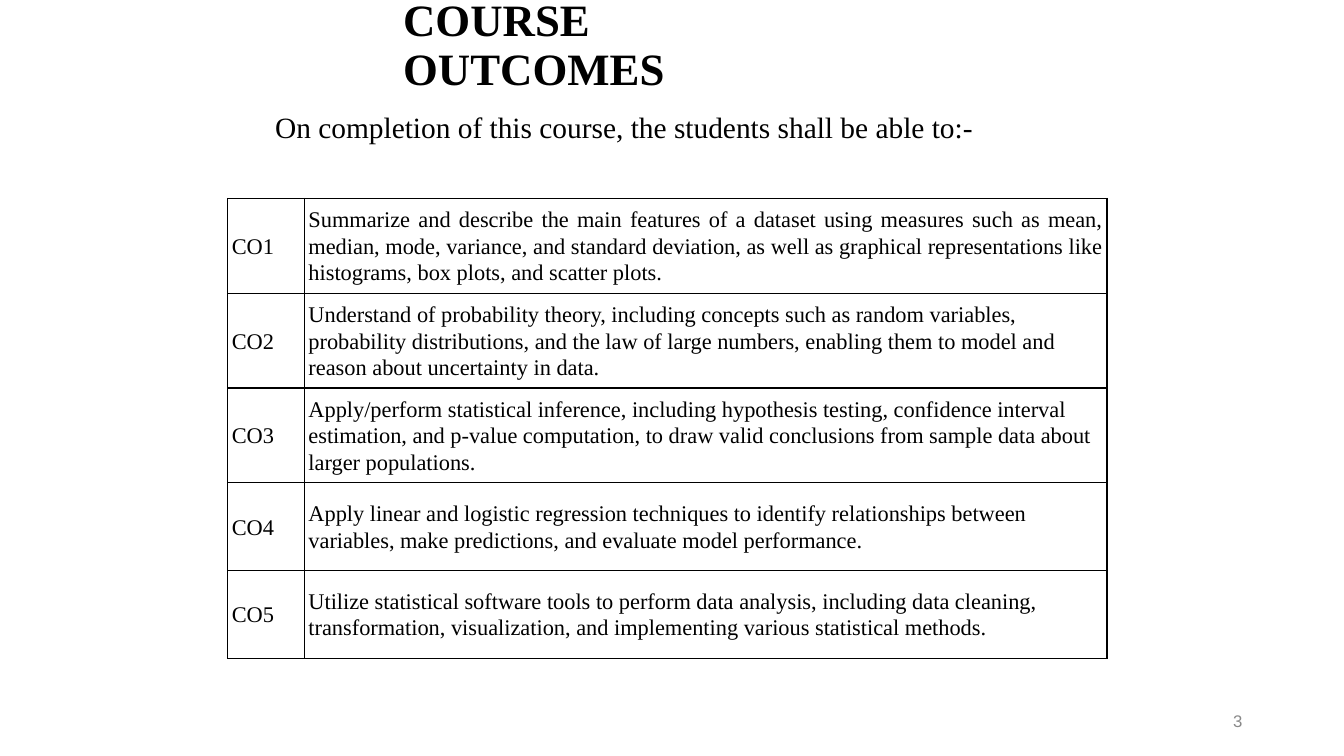
from lxml.etree import SubElement
from pptx import Presentation
from pptx.dml.color import RGBColor
from pptx.enum.text import MSO_ANCHOR, PP_ALIGN
from pptx.oxml.ns import qn
from pptx.util import Pt

EMU_PER_PX = 9144  # 100 px to the inch
SERIF = "Times New Roman"
BLACK = "000000"
GREY = "898989"

OUTCOMES = [
    "Summarize and describe the main features of a dataset using measures such as mean, "
    "median, mode, variance, and standard deviation, as well as graphical representations "
    "like histograms, box plots, and scatter plots.",
    "Understand of probability theory, including concepts such as random variables, "
    "probability distributions, and the law of large numbers, enabling them to model and "
    "reason about uncertainty in data.",
    "Apply/perform statistical inference, including hypothesis testing, confidence interval "
    "estimation, and p-value computation, to draw valid conclusions from sample data about "
    "larger populations.",
    "Apply linear and logistic regression techniques to identify relationships between "
    "variables, make predictions, and evaluate model performance.",
    "Utilize statistical software tools to perform data analysis, including data cleaning, "
    "transformation, visualization, and implementing various statistical methods.",
]
COLUMN_WIDTHS = [76, 796]
ROW_HEIGHTS = [94, 94, 94, 87, 87]


def px(length):
    return length * EMU_PER_PX


def color(hex_string):
    return RGBColor.from_string(hex_string)


def write(paragraph, text, size, font=SERIF, fill=BLACK, bold=False,
          align=PP_ALIGN.LEFT, line_spacing=1.0):
    paragraph.alignment = align
    paragraph.line_spacing = line_spacing
    run = paragraph.add_run()
    run.text = text
    run.font.name = font
    run.font.size = Pt(size)
    run.font.bold = bold
    run.font.color.rgb = color(fill)


def add_text(slide, box, text, size, anchor=MSO_ANCHOR.TOP, **style):
    frame = slide.shapes.add_textbox(*map(px, box)).text_frame
    frame.word_wrap = True
    frame.vertical_anchor = anchor
    write(frame.paragraphs[0], text, size, **style)


def add_borders(cell):
    properties = cell._tc.get_or_add_tcPr()
    for side in ("lnL", "lnR", "lnT", "lnB"):
        line = SubElement(properties, qn(f"a:{side}"), w=str(Pt(1)))
        fill = SubElement(line, qn("a:solidFill"))
        SubElement(fill, qn("a:srgbClr"), val=BLACK)


def fill_cell(cell, text, align=PP_ALIGN.LEFT, space_after=0):
    cell.margin_left = cell.margin_right = px(4)
    cell.margin_top = cell.margin_bottom = px(4)
    cell.vertical_anchor = MSO_ANCHOR.MIDDLE
    add_borders(cell)
    cell.fill.background()
    paragraph = cell.text_frame.paragraphs[0]
    paragraph.space_after = Pt(space_after)
    write(paragraph, text, 16, align=align, line_spacing=1.07)


def add_outcomes_table(slide, left, top):
    table = slide.shapes.add_table(
        len(OUTCOMES), len(COLUMN_WIDTHS), px(left), px(top),
        px(sum(COLUMN_WIDTHS)), px(sum(ROW_HEIGHTS))).table
    table.first_row = False
    table.horz_banding = False
    for column, width in zip(table.columns, COLUMN_WIDTHS):
        column.width = px(width)
    for index, outcome in enumerate(OUTCOMES):
        table.rows[index].height = px(ROW_HEIGHTS[index])
        fill_cell(table.cell(index, 0), f"CO{index + 1}")
        if index == 0:
            fill_cell(table.cell(index, 1), outcome, align=PP_ALIGN.JUSTIFY)
        else:
            fill_cell(table.cell(index, 1), outcome, space_after=8)


def main():
    presentation = Presentation()
    presentation.slide_width = px(1333)
    presentation.slide_height = px(750)
    slide = presentation.slides.add_slide(presentation.slide_layouts[6])

    add_text(slide, (390, -8, 467, 107), "COURSE OUTCOMES", 32,
             anchor=MSO_ANCHOR.BOTTOM, bold=True, line_spacing=0.9)
    add_text(slide, (942, 695, 300, 40), "3", 12, anchor=MSO_ANCHOR.MIDDLE,
             font="Arial", fill=GREY, align=PP_ALIGN.RIGHT)
    add_text(slide, (263, 103, 721, 45),
             "On completion of this course, the students shall be able to:-", 21)
    add_outcomes_table(slide, 226, 197)

    presentation.save("out.pptx")


if __name__ == "__main__":
    main()
